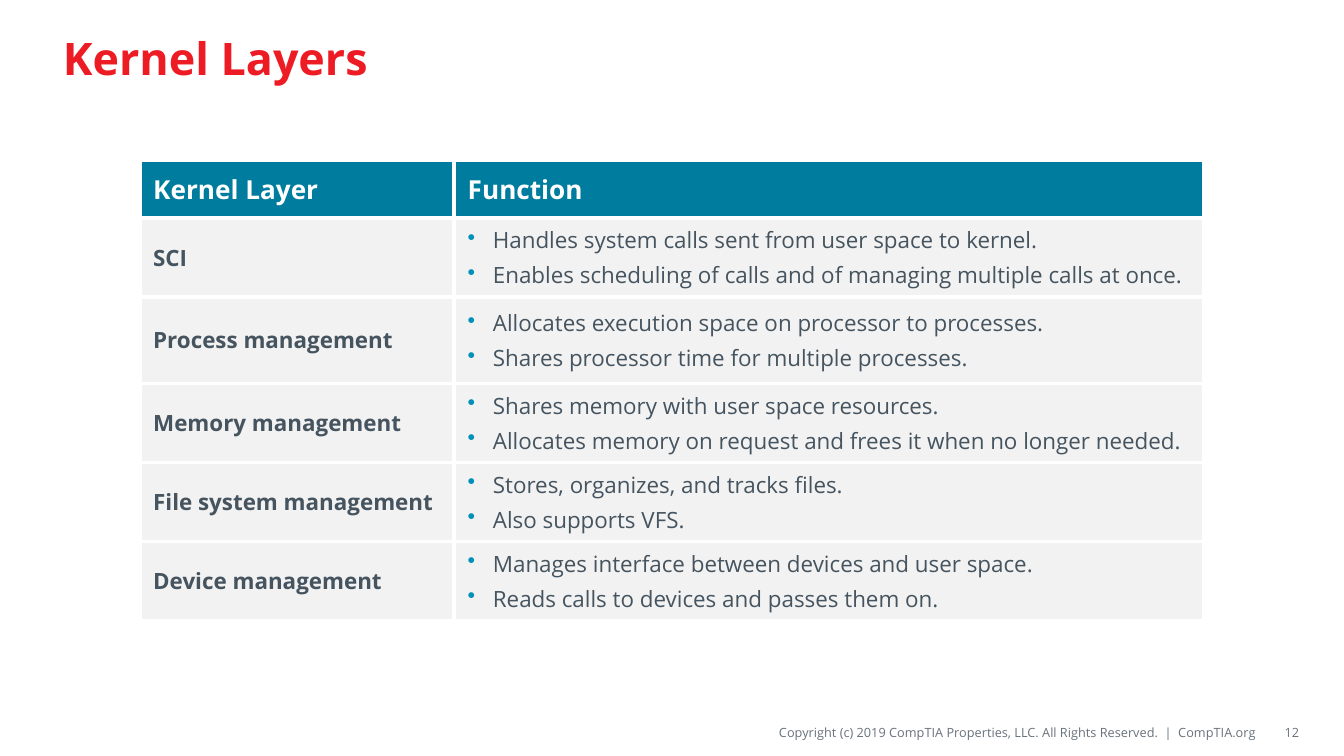
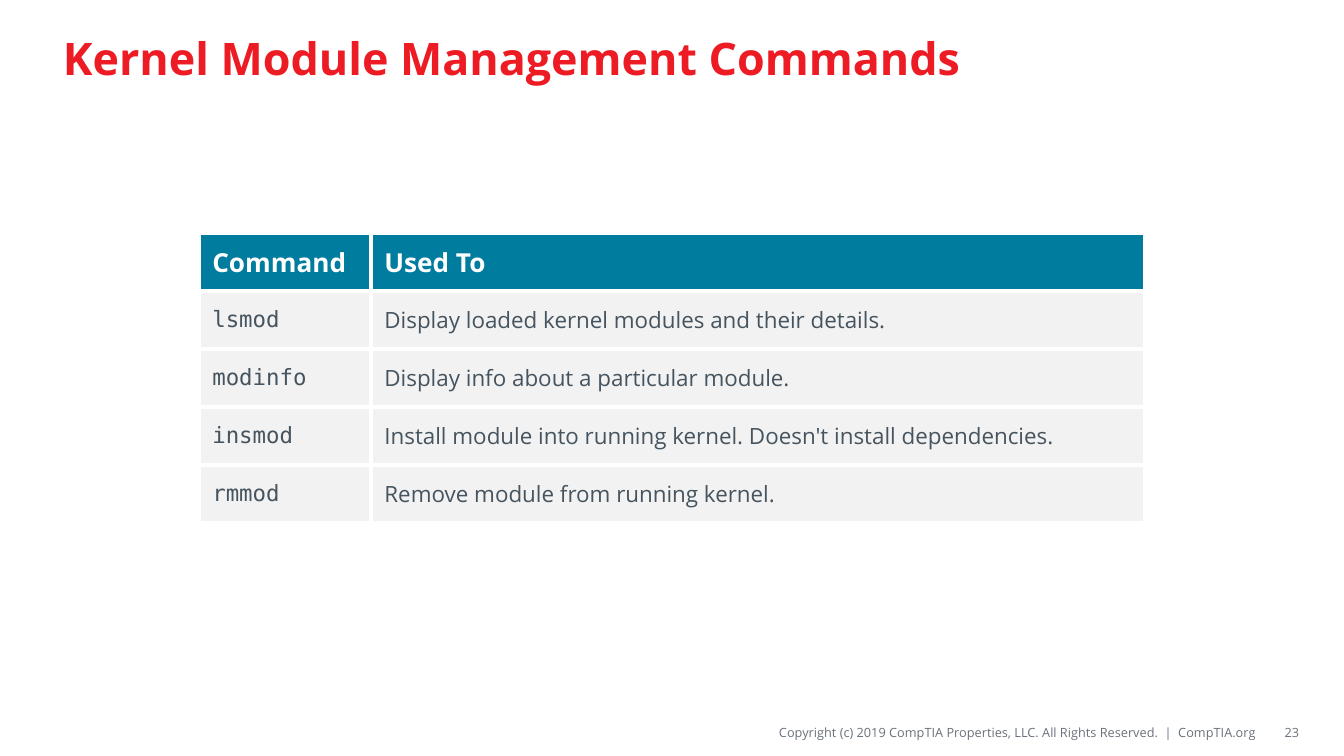
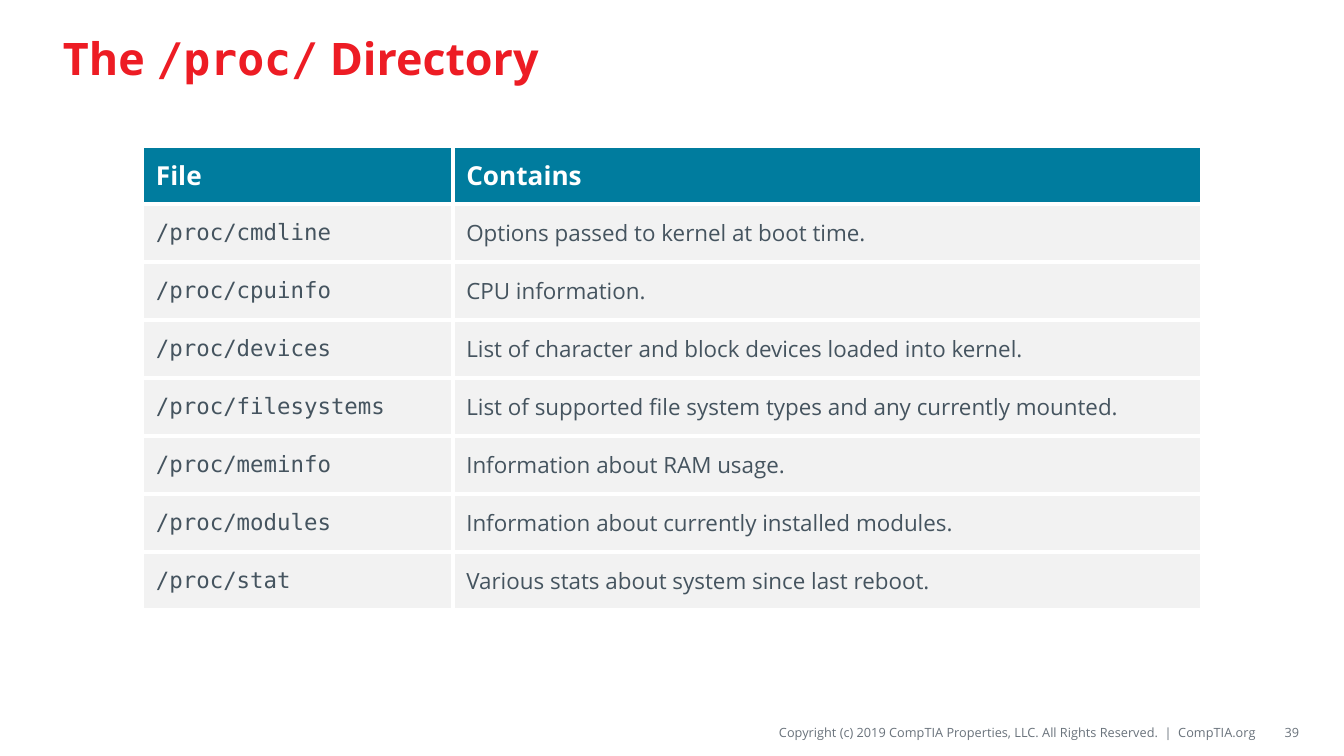
from lxml import etree
from pptx import Presentation
from pptx import util as u
from pptx.dml.color import RGBColor
from pptx.enum import text
from pptx.oxml import ns

SANS, MONO = "Open Sans", "DejaVu Sans Mono"
RED, TEAL, BLUE = "ED1C24", "007C9E", "0090B9"
WHITE, PALE, SLATE, GREY = "FFFFFF", "F2F2F2", "45545F", "69727B"
WIDTH, HEIGHT = 720, 405
ROW = 31.05
FOOTER = ("Copyright (c) 2019 CompTIA Properties, LLC. "
          "All Rights Reserved.  |  CompTIA.org")


def rgb(value):
    return RGBColor.from_string(value)


def add_child(parent, tag, **attributes):
    return etree.SubElement(parent, ns.qn(tag), attributes)


def add_bullet(para):
    properties = para._p.get_or_add_pPr()
    properties.set("marL", str(u.Pt(13.5)))
    properties.set("indent", str(u.Pt(-13.5)))
    color = add_child(properties, "a:buClr")
    add_child(color, "a:srgbClr", val=BLUE)
    add_child(properties, "a:buChar", char="•")


def write(frame, paragraphs, size=12, color=SLATE, font=SANS, bold=False,
          align=text.PP_ALIGN.LEFT, bullet=False):
    frame.word_wrap = True
    for index, content in enumerate(paragraphs):
        para = frame.add_paragraph() if index else frame.paragraphs[0]
        para.alignment = align
        para.space_before = u.Pt(0.2 * size if index else 0)
        if bullet:
            add_bullet(para)
        spans = [(content, font)] if isinstance(content, str) else content
        for words, face in spans:
            span = para.add_run()
            span.text = words
            span.font.name = face
            span.font.size = u.Pt(size)
            span.font.bold = bold
            span.font.color.rgb = rgb(color)


def add_borders(cell):
    properties = cell._tc.get_or_add_tcPr()
    for side in ("a:lnL", "a:lnR", "a:lnT", "a:lnB"):
        line = add_child(properties, side, w=str(u.Pt(2.25)))
        add_child(add_child(line, "a:solidFill"), "a:srgbClr", val=WHITE)


class Slides:
    """Hold the deck, its style and the current slide."""

    def __init__(self):
        self.deck = Presentation()
        self.deck.slide_width = u.Pt(WIDTH)
        self.deck.slide_height = u.Pt(HEIGHT)

    def start(self, title, number):
        self.page = self.deck.slides.add_slide(self.deck.slide_layouts[5])
        self.title(title)
        self.small_text(FOOTER, 279.5, 393.5, left_inset=0, edge_inset=2.9)
        self.small_text(number, 675.5, 20.5, left_inset=7.2, edge_inset=3.6)

    def title(self, title):
        box = self.page.shapes.title
        box.left, box.top = u.Pt(26.5), u.Pt(5.8)
        box.width, box.height = u.Pt(666), u.Pt(49.7)
        frame = box.text_frame
        frame.auto_size = text.MSO_AUTO_SIZE.NONE
        frame.vertical_anchor = text.MSO_ANCHOR.MIDDLE
        write(frame, [title], size=24, color=RED, bold=True)

    def small_text(self, words, left, width, left_inset, edge_inset):
        box = self.page.shapes.add_textbox(
            u.Pt(left), u.Pt(384.5), u.Pt(width), u.Pt(15.8))
        frame = box.text_frame
        frame.margin_left, frame.margin_right = u.Pt(left_inset), 0
        frame.margin_top = frame.margin_bottom = u.Pt(edge_inset)
        frame.vertical_anchor = text.MSO_ANCHOR.MIDDLE
        write(frame, [words], size=6.8, color=GREY,
              align=text.PP_ALIGN.RIGHT)

    def table(self, rows, widths, heights=None, top=None, label_style=None):
        heights = heights or [ROW] * len(rows)
        width, height = sum(widths), sum(heights)
        top = (HEIGHT - height) / 2 if top is None else top
        table = self.page.shapes.add_table(
            len(rows), len(widths), u.Pt((WIDTH - width) / 2), u.Pt(top),
            u.Pt(width), u.Pt(height)).table
        table.horz_banding = False
        for column, size in zip(table.columns, widths):
            column.width = u.Pt(size)
        for row, size in zip(table.rows, heights):
            row.height = u.Pt(size)
        for r, values in enumerate(rows):
            for c, value in enumerate(values):
                if r == 0:
                    style = dict(size=14, color=WHITE, bold=True)
                elif c == 0:
                    style = label_style or dict(font=MONO)
                else:
                    style = dict(bullet=isinstance(value, list))
                self.cell(table.cell(r, c), value,
                          PALE if r else TEAL, style)

    def cell(self, cell, value, fill, style):
        add_borders(cell)
        cell.fill.solid()
        cell.fill.fore_color.rgb = rgb(fill)
        cell.vertical_anchor = text.MSO_ANCHOR.MIDDLE
        lines = value if isinstance(value, list) else [value]
        write(cell.text_frame, lines, **style)


LAYERS = [
    ("Kernel Layer", "Function"),
    ("SCI", [
        "Handles system calls sent from user space to kernel.",
        "Enables scheduling of calls and of managing multiple calls at once."]),
    ("Process management", [
        "Allocates execution space on processor to processes.",
        "Shares processor time for multiple processes."]),
    ("Memory management", [
        "Shares memory with user space resources.",
        "Allocates memory on request and frees it when no longer needed."]),
    ("File system management", [
        "Stores, organizes, and tracks files.",
        "Also supports VFS."]),
    ("Device management", [
        "Manages interface between devices and user space.",
        "Reads calls to devices and passes them on."]),
]
COMMANDS = [
    ("Command", "Used To"),
    ("lsmod", "Display loaded kernel modules and their details."),
    ("modinfo", "Display info about a particular module."),
    ("insmod",
     "Install module into running kernel. Doesn't install dependencies."),
    ("rmmod", "Remove module from running kernel."),
]
PROC_FILES = [
    ("File", "Contains"),
    ("/proc/cmdline", "Options passed to kernel at boot time."),
    ("/proc/cpuinfo", "CPU information."),
    ("/proc/devices",
     "List of character and block devices loaded into kernel."),
    ("/proc/filesystems",
     "List of supported file system types and any currently mounted."),
    ("/proc/meminfo", "Information about RAM usage."),
    ("/proc/modules", "Information about currently installed modules."),
    ("/proc/stat", "Various stats about system since last reboot."),
]


def main():
    slides = Slides()
    slides.start("Kernel Layers", "12")
    slides.table(LAYERS, [168.5, 401.8], top=85.7,
                 heights=[ROW, 42.3, 46.5, 42.3, 42.3, 42.3],
                 label_style=dict(bold=True))
    slides.start("Kernel Module Management Commands", "23")
    slides.table(COMMANDS, [92.2, 414.7])
    slides.start([("The ", SANS), ("/proc/", MONO), (" Directory", SANS)], "39")
    slides.table(PROC_FILES, [166.3, 401])
    slides.deck.save("out.pptx")


if __name__ == "__main__":
    main()
